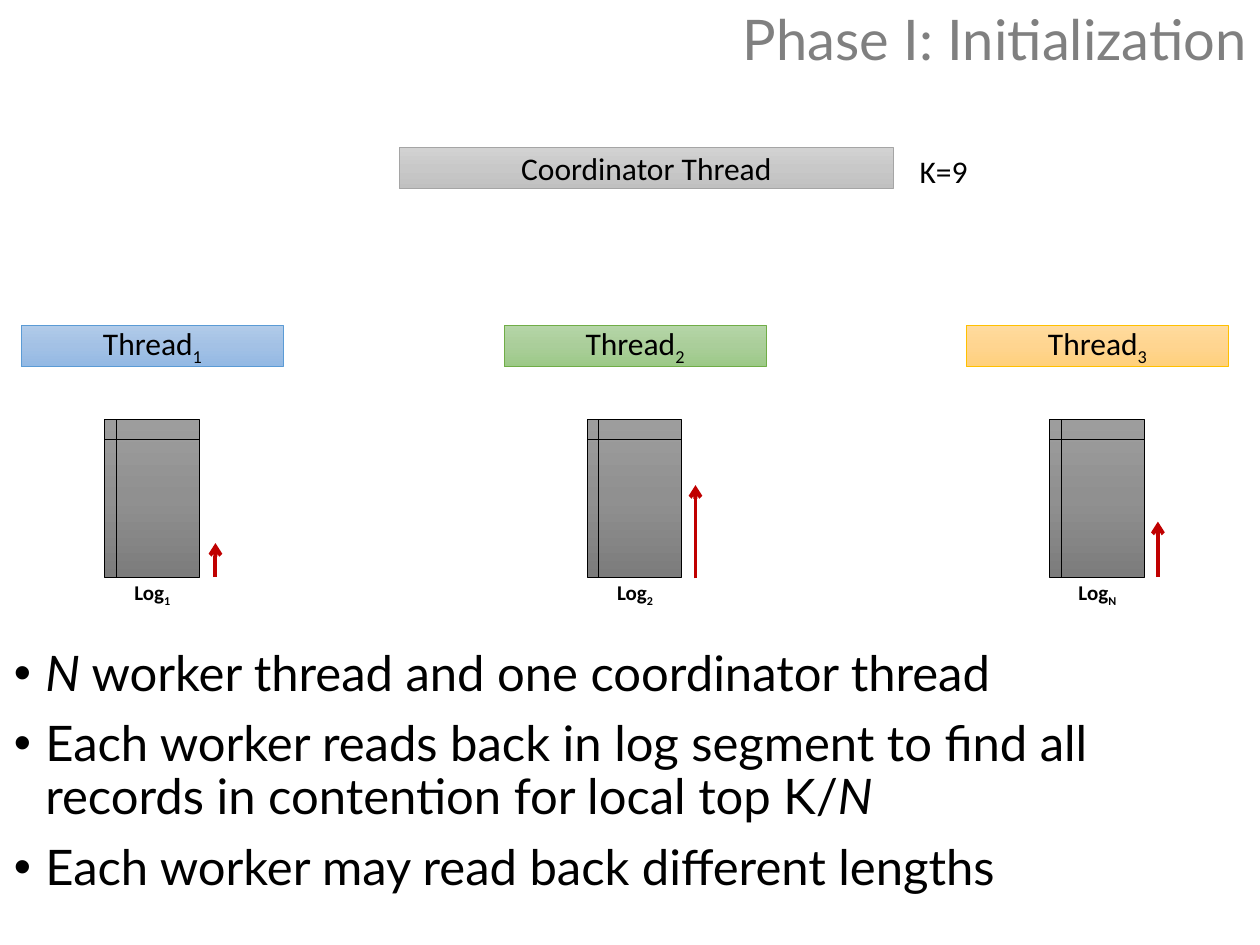
from copy import deepcopy

from pptx import Presentation
from pptx.dml.color import RGBColor
from pptx.enum.shapes import MSO_CONNECTOR as CONN, MSO_SHAPE as SHAPE
from pptx.enum.text import MSO_ANCHOR as ANCHOR, MSO_AUTO_SIZE as AUTO, PP_ALIGN as ALIGN
from pptx.oxml.ns import qn
from pptx.oxml.xmlchemy import OxmlElement
from pptx.util import Inches, Pt

BLACK = RGBColor(0x00, 0x00, 0x00)
GRAY = RGBColor(0x80, 0x80, 0x80)
RED = RGBColor(0xC0, 0x00, 0x00)
LOG_FILL = [RGBColor(0x9D, 0x9D, 0x9D), RGBColor(0x90, 0x90, 0x90), RGBColor(0x7C, 0x7C, 0x7C)]
COORD_FILL = [RGBColor(0xD2, 0xD2, 0xD2), RGBColor(0xC8, 0xC8, 0xC8), RGBColor(0xC0, 0xC0, 0xC0)]
COORD_LINE = RGBColor(0xA5, 0xA5, 0xA5)
BLUE_FILL = [RGBColor(0xB1, 0xCB, 0xE9), RGBColor(0xA3, 0xC1, 0xE5), RGBColor(0x93, 0xB9, 0xE4)]
BLUE_LINE = RGBColor(0x5B, 0x9B, 0xD5)
GREEN_FILL = [RGBColor(0xB5, 0xD5, 0xA7), RGBColor(0xAA, 0xCE, 0x9A), RGBColor(0x9C, 0xC9, 0x87)]
GREEN_LINE = RGBColor(0x70, 0xAD, 0x47)
GOLD_FILL = [RGBColor(0xFF, 0xDB, 0x9E), RGBColor(0xFF, 0xD5, 0x90), RGBColor(0xFF, 0xD0, 0x7C)]
GOLD_LINE = RGBColor(0xFF, 0xC0, 0x00)

WORKERS = [
    (0.17, "1", "1", BLUE_FILL, BLUE_LINE, 1.71, 4.58, 4.31),
    (4.0, "2", "2", GREEN_FILL, GREEN_LINE, 5.52, 4.59, 3.85),
    (7.67, "3", "N", GOLD_FILL, GOLD_LINE, 9.19, 4.58, 4.14),
]
BULLETS = [
    [("N", True), (" worker thread and one coordinator thread", False)],
    [("Each worker reads back in log segment to find all records in contention for local top K/", False),
     ("N", True)],
    [("Each worker may read back different lengths", False)],
]


def add_run(p, text, size, font="Calibri", color=BLACK, bold=None, italic=None, sub=False):
    """Append one formatted run to a paragraph."""
    r = p.add_run()
    r.text = text
    r.font.size = Pt(size)
    r.font.name = font
    r.font.color.rgb = color
    r.font.bold = bold
    r.font.italic = italic
    if sub:
        r.font._element.set("baseline", "-25000")


def place(s, x, y, w, h):
    """Move and size a shape, in inches."""
    s.left, s.top, s.width, s.height = (Inches(v) for v in (x, y, w, h))


def add_box(slide, kind, x, y, w, h, colors, line):
    """Add a shape with a vertical three-stop gradient and return its first paragraph."""
    s = slide.shapes.add_shape(kind, Inches(x), Inches(y), Inches(w), Inches(h))
    s.shadow.inherit = False
    s.fill.gradient()
    s.fill.gradient_angle = 270
    stops = s._element.spPr.find(qn("a:gradFill")).find(qn("a:gsLst"))
    stops.insert(1, deepcopy(stops[0]))
    for stop, color, position in zip(s.fill.gradient_stops, colors, (0, 0.5, 1)):
        stop.color.rgb = color
        stop.position = position
    s.line.color.rgb = line
    s.line.width = Pt(0.5)
    s.text_frame.vertical_anchor = ANCHOR.MIDDLE
    p = s.text_frame.paragraphs[0]
    p.alignment = ALIGN.CENTER
    return p


def add_label(slide, x, y, w, h, align):
    """Add a text box and return its first paragraph."""
    tf = slide.shapes.add_textbox(Inches(x), Inches(y), Inches(w), Inches(h)).text_frame
    tf.word_wrap = True
    tf.auto_size = AUTO.SHAPE_TO_FIT_TEXT
    p = tf.paragraphs[0]
    p.alignment = align
    return p


def add_arrow(slide, x, bottom, top):
    """Add a red arrow pointing up."""
    c = slide.shapes.add_connector(CONN.STRAIGHT, Inches(x), Inches(bottom), Inches(x), Inches(top))
    c.line.color.rgb = RED
    c.line.width = Pt(2.25)
    tail = OxmlElement("a:tailEnd")
    tail.set("type", "arrow")
    c.line._get_or_add_ln().append(tail)
    c._element.spPr.append(OxmlElement("a:effectLst"))


def add_worker(slide, x, number, log, colors, line, arrow_x, bottom, top):
    """Add a worker thread with its log, log label and read-back arrow."""
    p = add_box(slide, SHAPE.RECTANGLE, x, 2.58, 2.08, 0.33, colors, line)
    add_run(p, "Thread", 18)
    add_run(p, number, 18, sub=True)
    add_box(slide, SHAPE.FLOWCHART_INTERNAL_STORAGE, x + 0.66, 3.33, 0.75, 1.25, LOG_FILL, BLACK)
    p = add_label(slide, x + 0.46, 4.55, 1.16, 0.3, ALIGN.CENTER)
    add_run(p, "Log", 12, bold=True)
    add_run(p, log, 12, bold=True, sub=True)
    add_arrow(slide, arrow_x, bottom, top)


def fill_title(s):
    """Place and write the slide title."""
    place(s, 0, 0, 10, 0.68)
    tf = s.text_frame
    tf.auto_size = AUTO.NONE
    tf.vertical_anchor = ANCHOR.MIDDLE
    p = tf.paragraphs[0]
    p.alignment = ALIGN.RIGHT
    p.line_spacing = 0.9
    add_run(p, "Phase I: Initialization", 32, "Lato", GRAY)


def fill_body(s):
    """Place and write the bullet list."""
    place(s, 0.01, 5.1, 9.99, 2.4)
    tf = s.text_frame
    tf.auto_size = AUTO.NONE
    for i, runs in enumerate(BULLETS):
        p = tf.add_paragraph() if i else tf.paragraphs[0]
        p.line_spacing = 0.9
        p.space_before = Pt(10)
        pPr = p._p.get_or_add_pPr()
        pPr.set("marL", str(Inches(0.25)))
        pPr.set("indent", str(-Inches(0.25)))
        for text, italic in runs:
            add_run(p, text, 28, "Lato", italic=italic)


def main():
    """Build the slide and save it."""
    prs = Presentation()
    prs.slide_width, prs.slide_height = Inches(10), Inches(7.5)
    slide = prs.slides.add_slide(prs.slide_layouts[1])
    fill_title(slide.shapes.title)
    fill_body(slide.placeholders[1])
    p = add_box(slide, SHAPE.RECTANGLE, 3.17, 1.17, 3.92, 0.33, COORD_FILL, COORD_LINE)
    add_run(p, "Coordinator Thread", 18)
    add_run(add_label(slide, 7.2, 1.16, 0.63, 0.4, ALIGN.LEFT), "K=9", 18)
    for worker in WORKERS:
        add_worker(slide, *worker)
    prs.save("out.pptx")


if __name__ == "__main__":
    main()
